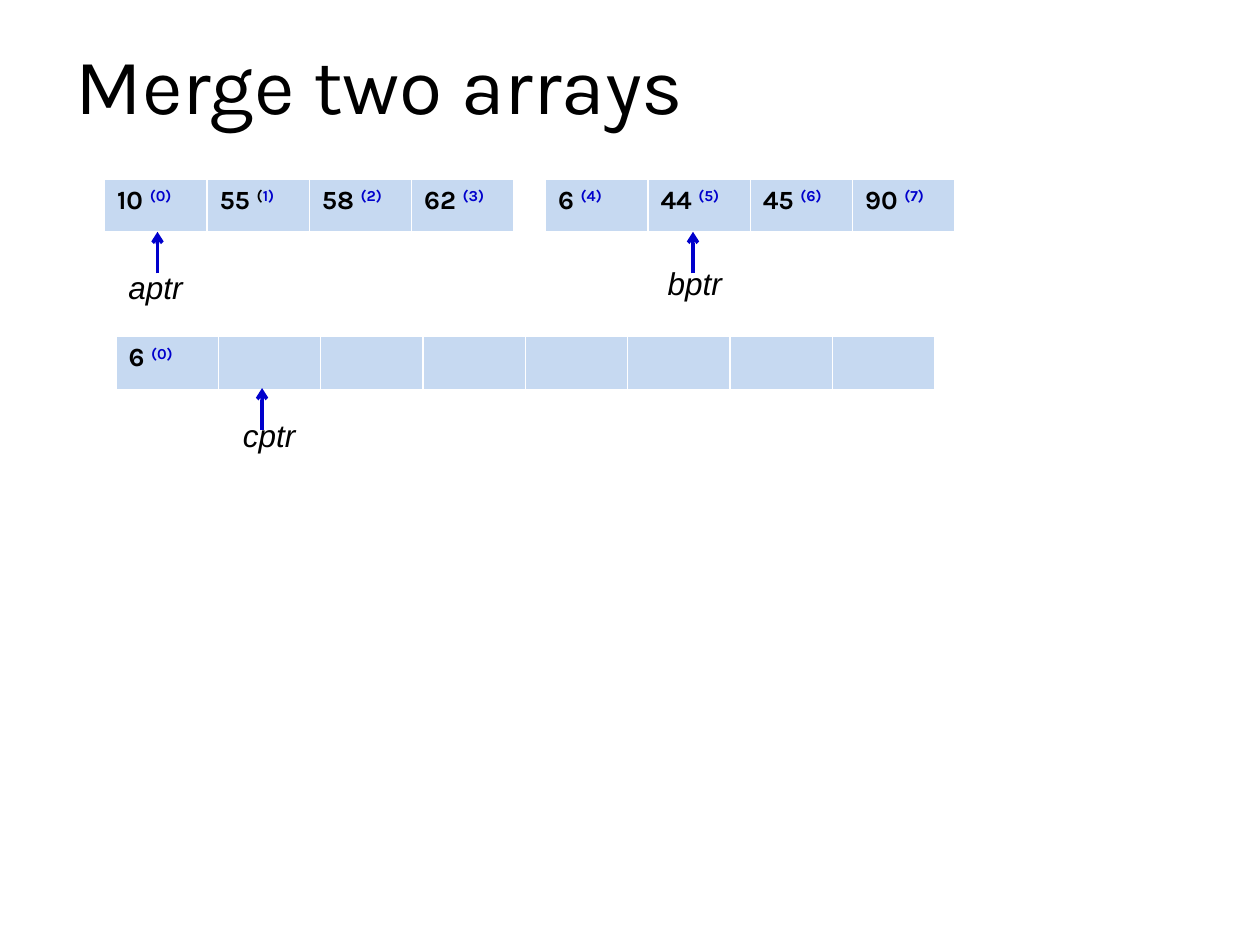
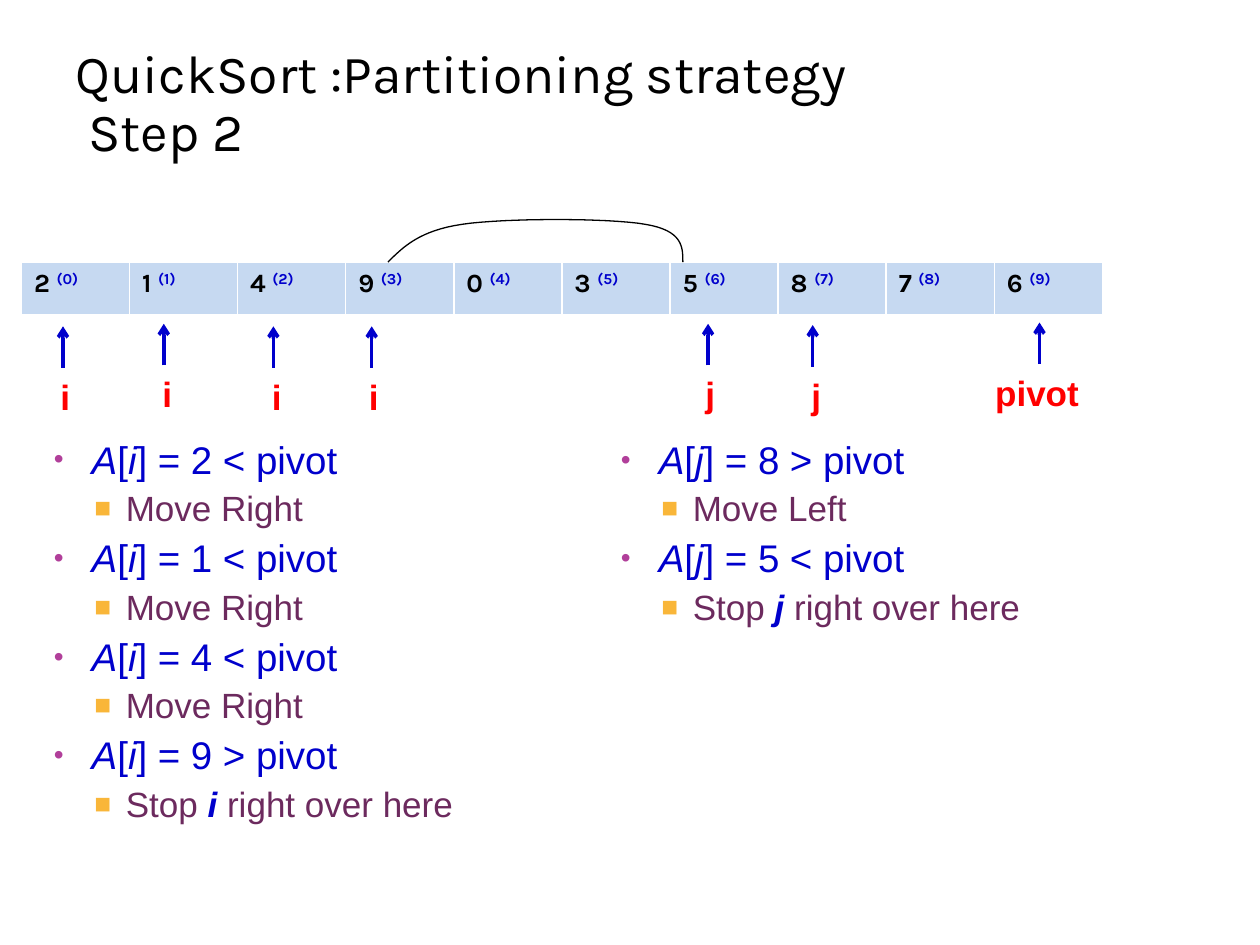
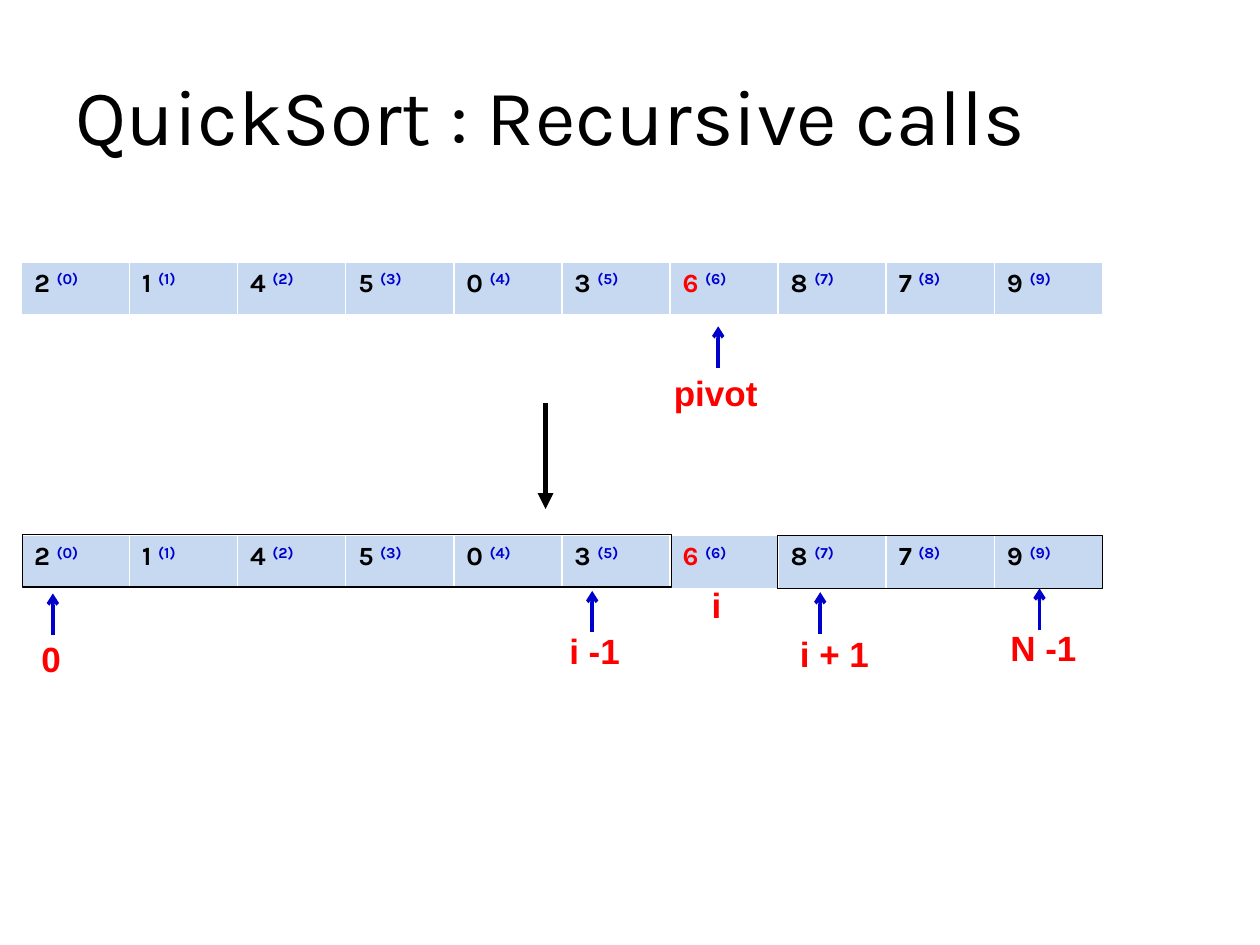
from dataclasses import dataclass

from lxml import etree
from pptx import Presentation
from pptx.dml.color import RGBColor
from pptx.enum.shapes import MSO_CONNECTOR, MSO_SHAPE
from pptx.enum.text import MSO_ANCHOR, MSO_AUTO_SIZE
from pptx.oxml.ns import qn
from pptx.util import Inches, Pt

STRAIGHT = MSO_CONNECTOR.STRAIGHT
RECTANGLE = MSO_SHAPE.RECTANGLE
BOTTOM = MSO_ANCHOR.BOTTOM
GROW = MSO_AUTO_SIZE.SHAPE_TO_FIT_TEXT


@dataclass(frozen=True)
class Theme:
    black: str = "000000"
    blue: str = "0000CC"
    red: str = "FF0000"
    plum: str = "6C2A5E"
    cell: str = "C6D9F1"
    bullet: str = "B13F9A"
    square: str = "F9B639"
    heading_font: str = "Karla"
    body_font: str = "Arial"
    title_size: float = 45
    long_title_size: float = 30.6
    cell_size: float = 15
    pointer_size: float = 18
    label_size: float = 20
    item_size: float = 22
    subitem_size: float = 20
    arrow_width: float = 2
    step_width: float = 3
    outline_width: float = 0.75


theme = Theme()


def add_run(paragraph, text, font, size, colour, bold=False, italic=False, raised=False):
    run = paragraph.add_run()
    run.text = text
    run.font.name = font
    run.font.size = Pt(size)
    run.font.color.rgb = RGBColor.from_string(colour)
    run.font.bold = bold
    run.font.italic = italic
    if raised:
        run.font._element.set("baseline", "30000")


def add_arrow(slide, x, start, end, colour, width, head):
    """Draw a vertical arrow at x, with its head at end."""
    arrow = slide.shapes.add_connector(STRAIGHT, Inches(x), Inches(start), Inches(x), Inches(end))
    arrow.line.color.rgb = RGBColor.from_string(colour)
    arrow.line.width = Pt(width)
    properties = arrow._element.spPr
    etree.SubElement(properties.find(qn("a:ln")), qn("a:tailEnd"), type=head)
    etree.SubElement(properties, qn("a:effectLst"))


# Arrays: left, top, width, cell count, first index, values
# Pointers: label, left, top, width, arrow x, arrow tip
ARROW_LENGTH = 0.33
PIVOT_WIDTH = 0.9
WIDE = (0.17, 8.58, 10)
partitioned = ["2", "1", "4", "5", "0", "3", "6", "8", "7", "9"]
contents = [
    {
        "title": ["Merge two arrays"],
        "title_top": 0.17,
        "title_size": theme.title_size,
        "arrays": [
            (0.83, 1.42, 3.25, 4, 0, ["10", "55", "58", "62"]),
            (4.33, 1.42, 3.25, 4, 4, ["6", "44", "45", "90"]),
            (0.92, 2.67, 6.5, 8, 0, ["6"]),
        ],
        "label_style": (theme.pointer_size, theme.black, False, True),
        "label_height": 0.4,
        "pointers": [
            ("aptr", 0.92, 2.08, 0.64, 1.25, 1.84),
            ("bptr", 5.2, 2.05, 0.64, 5.5, 1.84),
            ("cptr", 1.83, 3.25, 0.62, 2.08, 3.08),
        ],
    },
    {
        "title": ["QuickSort :Partitioning strategy ", " Step 2"],
        "title_top": 0.42,
        "title_size": theme.long_title_size,
        "arrays": [
            (WIDE[0], 2.08, *WIDE[1:], 0, ["2", "1", "4", "9", "0", "3", "5", "8", "7", "6"]),
        ],
        "label_style": (theme.label_size, theme.red, True, False),
        "label_height": 0.43,
        "pointers": [
            ("i", 0.38, 2.93, 0.28, 0.5, 2.59),
            ("i", 1.19, 2.91, 0.28, 1.3, 2.57),
            ("i", 2.06, 2.93, 0.28, 2.17, 2.59),
            ("i", 2.83, 2.93, 0.28, 2.95, 2.59),
            ("j", 5.5, 2.91, 0.28, 5.62, 2.57),
            ("j", 6.34, 2.92, 0.28, 6.45, 2.58),
            ("pivot", 7.8, 2.9, PIVOT_WIDTH, 8.25, 2.56),
        ],
    },
    {
        "title": ["QuickSort : Recursive calls"],
        "title_top": 0.42,
        "title_size": theme.title_size,
        "arrays": [(WIDE[0], top, *WIDE[1:], 0, partitioned) for top in (2.08, 4.25)],
        "label_style": (theme.label_size, theme.red, True, False),
        "label_height": 0.43,
        "pointers": [
            ("pivot", 5.25, 2.9, PIVOT_WIDTH, 5.7, 2.59),
            ("0", 0.23, 5.01, 0.36, 0.42, 4.71),
            ("i -1", 4.42, 4.95, 0.62, 4.7, 4.69),
            ("i", 5.55, 4.58, 0.28, None, None),
            ("i + 1", 6.25, 4.97, 0.77, 6.51, 4.7),
            ("N -1", 7.92, 4.92, 0.75, 8.25, 4.67),
        ],
    },
]

presentation = Presentation()
presentation.slide_width = Inches(10)
presentation.slide_height = Inches(7.5)

# Titles, arrays and pointers of every slide
slides = []
for content in contents:
    slide = presentation.slides.add_slide(presentation.slide_layouts[6])
    slides.append(slide)

    title = slide.shapes.add_textbox(
        Inches(0.5), Inches(content["title_top"]), Inches(7.92), Inches(0.92))
    title.text_frame.word_wrap = True
    title.text_frame.vertical_anchor = BOTTOM
    paragraph = title.text_frame.paragraphs[0]
    paragraph.line_spacing = 0.9
    for number, line in enumerate(content["title"]):
        if number:
            paragraph.add_line_break()
        add_run(paragraph, line, theme.heading_font, content["title_size"], theme.black)

    for left, top, width, cell_count, first_index, values in content["arrays"]:
        table = slide.shapes.add_table(
            1, cell_count, Inches(left), Inches(top), Inches(width), Inches(0.42)).table
        for column in range(cell_count):
            cell = table.cell(0, column)
            cell.fill.solid()
            cell.fill.fore_color.rgb = RGBColor.from_string(theme.cell)
            if column >= len(values):
                continue
            value = values[column]
            index = first_index + column
            is_pivot = values is partitioned and value == "6"
            runs = [(f"{value} ", theme.red if is_pivot else theme.black, False)]
            if value == "55":
                runs += [("(", theme.black, True), (f"{index})", theme.blue, True)]
            else:
                runs.append((f"({index})", theme.blue, True))
            for text, colour, raised in runs:
                add_run(cell.text_frame.paragraphs[0], text, theme.heading_font,
                        theme.cell_size, colour, bold=True, raised=raised)

    for text, left, top, width, arrow_x, tip in content["pointers"]:
        if arrow_x is not None:
            add_arrow(slide, arrow_x, tip + ARROW_LENGTH, tip,
                      theme.blue, theme.arrow_width, "arrow")
        label = slide.shapes.add_textbox(
            Inches(left), Inches(top), Inches(width), Inches(content["label_height"]))
        label.text_frame.word_wrap = False
        label.text_frame.auto_size = GROW
        add_run(label.text_frame.paragraphs[0], text, theme.body_font, *content["label_style"])

merge_slide, partition_slide, recursion_slide = slides

# Swap curve between the stopped i and j
curve_start = (3.08, 2.08)
curve_segments = [
    ((3.2, 1.96), (3.33, 1.83), (3.67, 1.78)),
    ((4.01, 1.73), (4.83, 1.73), (5.12, 1.78)),
    ((5.42, 1.83), (5.42, 1.96), (5.42, 2.08)),
]
STEPS = 16
curve_points = []
segment_start = curve_start
for segment in curve_segments:
    anchors = (segment_start, *segment)
    for step in range(1, STEPS + 1):
        t = step / STEPS
        weights = ((1 - t) ** 3, 3 * t * (1 - t) ** 2, 3 * t ** 2 * (1 - t), t ** 3)
        curve_points.append(tuple(
            Inches(sum(weight * anchor[axis] for weight, anchor in zip(weights, anchors)))
            for axis in (0, 1)))
    segment_start = segment[-1]
builder = partition_slide.shapes.build_freeform(Inches(curve_start[0]), Inches(curve_start[1]))
builder.add_line_segments(curve_points, close=False)
outlines = [builder.convert_to_shape()]

# Comparisons: variable, comparison with the pivot, action (None stops the variable)
comparison_lists = [
    (0.33, 3.5, 3.13, "i", [
        ("2 <", "Move Right"), ("1 <", "Move Right"), ("4 <", "Move Right"), ("9 >", None)]),
    (4.83, 3.58, 2.38, "j", [("8 >", "Move Left"), ("5 <", None)]),
]
# Margin, hanging indent, space before, bullet colour, bullet size, bullet
ITEM = (0.3, 0.3, 6, theme.bullet, 73, "•")
SUBITEM = (0.57, 0.25, 5, theme.square, 80, "■")
for left, width, height, variable, comparisons in comparison_lists:
    box = partition_slide.shapes.add_textbox(
        Inches(left), Inches(3.45), Inches(width), Inches(height))
    box.text_frame.word_wrap = True
    items = []
    for comparison, action in comparisons:
        items.append((ITEM, theme.item_size, [
            ("A", theme.blue, False, True), ("[", theme.blue, False, False),
            (variable, theme.blue, False, True),
            (f"] = {comparison} pivot", theme.blue, False, False)]))
        if action:
            action_runs = [(action, theme.plum, False, False)]
        else:
            action_runs = [("Stop ", theme.plum, False, False),
                           (variable, theme.blue, True, True),
                           (" right over here", theme.plum, False, False)]
        items.append((SUBITEM, theme.subitem_size, action_runs))

    for number, (style, size, runs) in enumerate(items):
        margin, hanging, space, bullet_colour, bullet_size, bullet = style
        paragraph = box.text_frame.add_paragraph() if number else box.text_frame.paragraphs[0]
        paragraph.level = 1 if style is SUBITEM else 0
        paragraph.line_spacing = 0.9
        paragraph.space_before = Pt(space if number else 0)
        properties = paragraph._p.get_or_add_pPr()
        properties.set("marL", str(Inches(margin)))
        properties.set("indent", str(-Inches(hanging)))
        colour_element = etree.SubElement(properties, qn("a:buClr"))
        etree.SubElement(colour_element, qn("a:srgbClr"), val=bullet_colour)
        etree.SubElement(properties, qn("a:buSzPct"), val=str(bullet_size * 1000))
        etree.SubElement(properties, qn("a:buFont"), typeface=theme.body_font)
        etree.SubElement(properties, qn("a:buChar"), char=bullet)
        for text, colour, bold, italic in runs:
            add_run(paragraph, text, theme.body_font, size, colour, bold, italic)

# Step arrow and the two subarrays to sort next
add_arrow(recursion_slide, 4.33, 3.2, 4.04, theme.black, theme.step_width, "triangle")
for left, top, width in [(0.18, 4.24, 5.15), (6.17, 4.25, 2.58)]:
    outlines.append(recursion_slide.shapes.add_shape(
        RECTANGLE, Inches(left), Inches(top), Inches(width), Inches(0.42)))

for outline in outlines:
    outline.shadow.inherit = False
    outline.fill.background()
    outline.line.color.rgb = RGBColor.from_string(theme.black)
    outline.line.width = Pt(theme.outline_width)

presentation.save("out.pptx")
